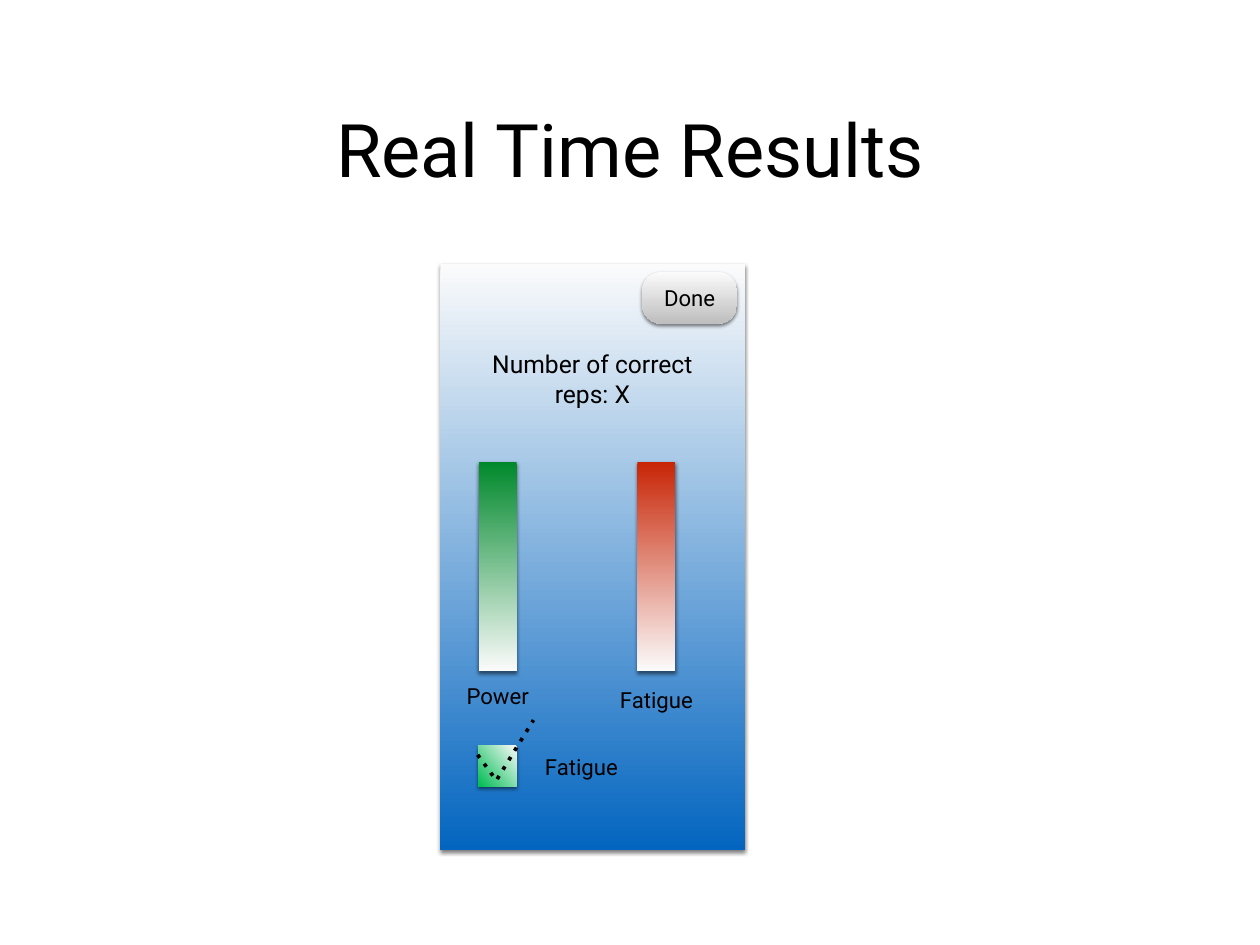
from dataclasses import dataclass

from lxml import etree
from pptx import Presentation
from pptx.dml.color import RGBColor
from pptx.enum.shapes import MSO_SHAPE
from pptx.enum.text import MSO_ANCHOR, PP_ALIGN
from pptx.oxml.ns import qn
from pptx.util import Pt

RECTANGLE = MSO_SHAPE.RECTANGLE
ROUNDED = MSO_SHAPE.ROUNDED_RECTANGLE
MIDDLE = MSO_ANCHOR.MIDDLE
CENTER = PP_ALIGN.CENTER


@dataclass(frozen=True)
class Theme:
    font: str = "Roboto"
    ink: str = "000000"
    light: str = "FBFBFB"
    panel: str = "0365C0"
    button: str = "BEBEBE"
    power: str = "00882B"
    fatigue: str = "C82506"
    check: str = "00BC54"
    title_size: int = 60
    reps_size: int = 20
    label_size: int = 18


THEME = Theme()


def write_text(shape, text, size, wrap=True):
    frame = shape.text_frame
    frame.text = text
    frame.word_wrap = wrap
    frame.vertical_anchor = MIDDLE
    frame.margin_left = frame.margin_right = Pt(4)
    frame.margin_top = frame.margin_bottom = Pt(4)
    paragraph = frame.paragraphs[0]
    paragraph.alignment = CENTER
    font = paragraph.runs[0].font
    font.name = THEME.font
    font.size = Pt(size)
    font.color.rgb = RGBColor.from_string(THEME.ink)


def add_text(slide, box, text, size, wrap=True):
    shape = slide.shapes.add_textbox(*map(Pt, box))
    write_text(shape, text, size, wrap)


def add_shadow(shape):
    shape.shadow.inherit = False
    effects = shape._element.spPr.find(qn("a:effectLst"))
    shadow = etree.SubElement(
        effects, qn("a:outerShdw"), blurRad=str(Pt(3)), dist=str(Pt(2)),
        dir="5400000", rotWithShape="0")
    color = etree.SubElement(shadow, qn("a:srgbClr"), val=THEME.ink)
    etree.SubElement(color, qn("a:alpha"), val="50000")


def add_gradient_shape(slide, box, start, end, kind=RECTANGLE, angle=90):
    shape = slide.shapes.add_shape(kind, *map(Pt, box))
    shape.fill.gradient()
    shape.fill.gradient_angle = 360 - angle
    for stop, position, color in zip(shape.fill.gradient_stops, (0, 1), (start, end)):
        stop.position = position
        stop.color.rgb = RGBColor.from_string(color)
    shape.line.fill.background()
    add_shadow(shape)
    return shape


def add_done_button(slide, box):
    button = add_gradient_shape(slide, box, THEME.light, THEME.button, ROUNDED)
    button.adjustments[0] = 0.36
    write_text(button, "Done", THEME.label_size)


def add_gauge(slide, box, color, label, label_gap):
    left, top, width, height = box
    add_gradient_shape(slide, box, color, THEME.light)
    label_width = 70
    label_box = (left + (width - label_width) / 2, top + height + label_gap, label_width, 30)
    add_text(slide, label_box, label, THEME.label_size, wrap=False)


def add_check_row(slide, box):
    left, top, width, height = box
    add_gradient_shape(slide, box, THEME.light, THEME.check, angle=141)
    add_text(slide, (left + 49, top + 2, 69, 30), "Fatigue", THEME.label_size, wrap=False)
    builder = slide.shapes.build_freeform(Pt(left - 0.8), Pt(top + 7.2))
    builder.add_line_segments(
        [(Pt(left + 14.4), Pt(top + 28)), (Pt(left + 44.6), Pt(top - 21))], close=False)
    tick = builder.convert_to_shape()
    tick.fill.background()
    tick.shadow.inherit = False
    tick.line.width = Pt(3)
    tick.line.color.rgb = RGBColor.from_string(THEME.ink)
    dashes = etree.SubElement(tick.line._ln, qn("a:custDash"))
    etree.SubElement(dashes, qn("a:ds"), d="100000", sp="200000")


def add_phone_panel(slide, box):
    left, top, width, height = box
    add_gradient_shape(slide, box, THEME.light, THEME.panel)
    add_text(slide, (left + 21, top + 65, 205, 56), "Number of correct reps: X", THEME.reps_size)
    gauges = [(31, THEME.power, "Power", 5), (160, THEME.fatigue, "Fatigue", 8)]
    for offset, color, label, label_gap in gauges:
        add_gauge(slide, (left + offset, top + 161, 31, 170), color, label, label_gap)
    add_check_row(slide, (left + 31, top + 391.7, 31, 33))
    add_done_button(slide, (left + 164, top + 6.5, 77, 42))


def main():
    presentation = Presentation()
    presentation.slide_width = Pt(1024)
    presentation.slide_height = Pt(768)
    slide = presentation.slides.add_slide(presentation.slide_layouts[6])
    add_text(slide, (75, 35, 874, 170), "Real Time Results", THEME.title_size)
    add_phone_panel(slide, (358, 214.5, 247.5, 476.5))
    presentation.save("out.pptx")


if __name__ == "__main__":
    main()
